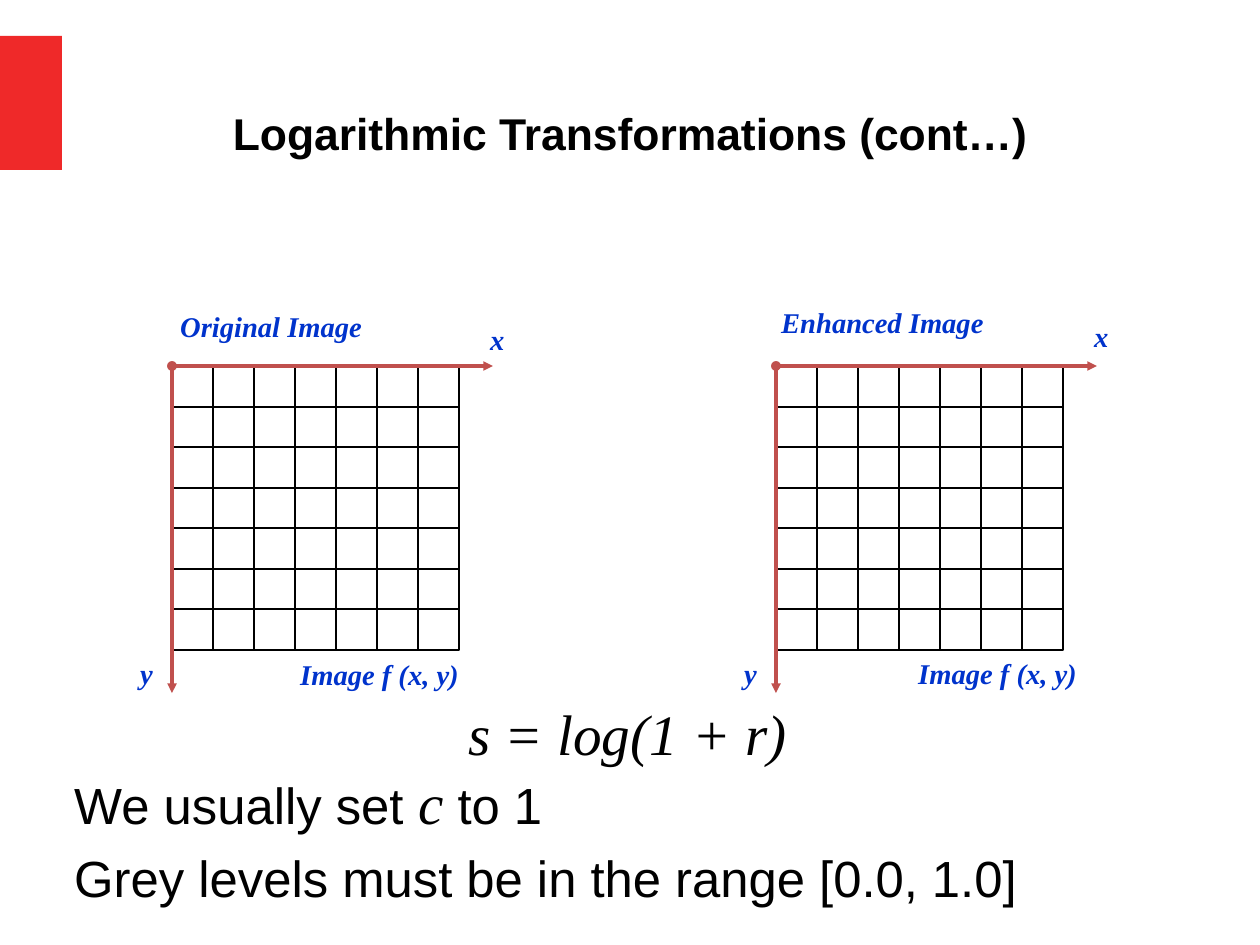
from lxml.etree import SubElement
from pptx import Presentation
from pptx.dml.color import RGBColor
from pptx.enum.shapes import MSO_CONNECTOR as CONNECTOR, MSO_SHAPE as SHAPE
from pptx.enum.text import MSO_ANCHOR as ANCHOR, PP_ALIGN as ALIGN
from pptx.oxml.ns import qn
from pptx.util import Pt

PX = 8000  # EMU; the 28 x 21 cm page is 1260 x 945 px
COLORS = {"red": "EF2929", "axis": "C0504D", "label": "0033CC",
          "black": "000000", "white": "FFFFFF"}
SANS, SERIF = "Arial", "Times New Roman"
CELLS = 7


def color(name):
    return RGBColor.from_string(COLORS[name])


def add_text(left, top, width, height, paragraphs, align=ALIGN.LEFT, wrap=True, gap=0):
    """Add a box; each paragraph is a list of (text, font, size, color, bold, italic)."""
    box = page.shapes.add_textbox(left * PX, top * PX, width * PX, height * PX)
    frame = box.text_frame
    frame.word_wrap = wrap
    for number, spans in enumerate(paragraphs):
        para = frame.add_paragraph() if number else frame.paragraphs[0]
        para.alignment = align
        if number:
            para.space_before = Pt(gap)
        for text, font, size, ink, bold, italic in spans:
            span = para.add_run()
            span.text = text
            span.font.name, span.font.size = font, Pt(size)
            span.font.bold, span.font.italic = bold, italic
            span.font.color.rgb = color(ink)
    return box


deck = Presentation()
deck.slide_width, deck.slide_height = 1260 * PX, 945 * PX
page = deck.slides.add_slide(deck.slide_layouts[6])

accent = page.shapes.add_shape(SHAPE.RECTANGLE, 0, 36 * PX, 62 * PX, 134 * PX)
accent.shadow.inherit = False
accent.fill.solid()
accent.fill.fore_color.rgb = color("red")
accent.line.fill.background()

title = add_text(63, 46, 1134, 173, [[("Logarithmic Transformations (cont…)",
                                       SANS, 28, "black", True, False)]], ALIGN.CENTER)
title.text_frame.vertical_anchor = ANCHOR.MIDDLE

# Pixel grids with axes: grid left, then labels as (text, left, top, width)
grid_top, grid_height, column_width = 366, 284, 41
row_edges = [grid_top + round(i * grid_height / CELLS) for i in range(CELLS + 1)]
grids = [
    (172, [("Original Image", 169, 303, 205), ("x", 479, 316, 37),
           ("y", 129, 650, 35), ("Image f (x, y)", 289, 651, 182)]),
    (776, [("Enhanced Image", 770, 299, 225), ("x", 1083, 313, 37),
           ("y", 733, 650, 35), ("Image f (x, y)", 907, 650, 182)]),
]
for grid_left, labels in grids:
    for top, bottom in zip(row_edges, row_edges[1:]):
        for column in range(CELLS):
            left = grid_left + column * column_width
            cell = page.shapes.add_shape(SHAPE.RECTANGLE, left * PX, top * PX,
                                         column_width * PX, (bottom - top) * PX)
            cell.shadow.inherit = False
            cell.fill.solid()
            cell.fill.fore_color.rgb = color("white")
            cell.line.color.rgb = color("black")
            cell.line.width = Pt(1)

    for end_x, end_y in [(grid_left + 321, grid_top), (grid_left, grid_top + 327)]:
        axis = page.shapes.add_connector(CONNECTOR.STRAIGHT, grid_left * PX, grid_top * PX,
                                         end_x * PX, end_y * PX)
        axis.line.color.rgb = color("axis")
        axis.line.width = Pt(2)
        stroke = axis.line._get_or_add_ln()
        SubElement(stroke, qn("a:headEnd"), type="oval")
        SubElement(stroke, qn("a:tailEnd"), type="triangle")
        SubElement(axis._element.spPr, qn("a:effectLst"))

    for text, left, top, width in labels:
        add_text(left, top, width, 45, [[(text, SERIF, 18, "label", True, True)]], wrap=False)

add_text(420, 693, 415, 80, [[("s = log(1 + r)", SERIF, 36, "black", False, True)]], ALIGN.CENTER)

add_text(63, 762, 1134, 183, [
    [("We usually set ", SANS, 32, "black", False, False),
     ("c", SERIF, 36, "black", False, True),
     (" to 1", SANS, 32, "black", False, False)],
    [("Grey levels must be in the range [0.0, 1.0]", SANS, 32, "black", False, False)],
], gap=6.5)

deck.save("out.pptx")
